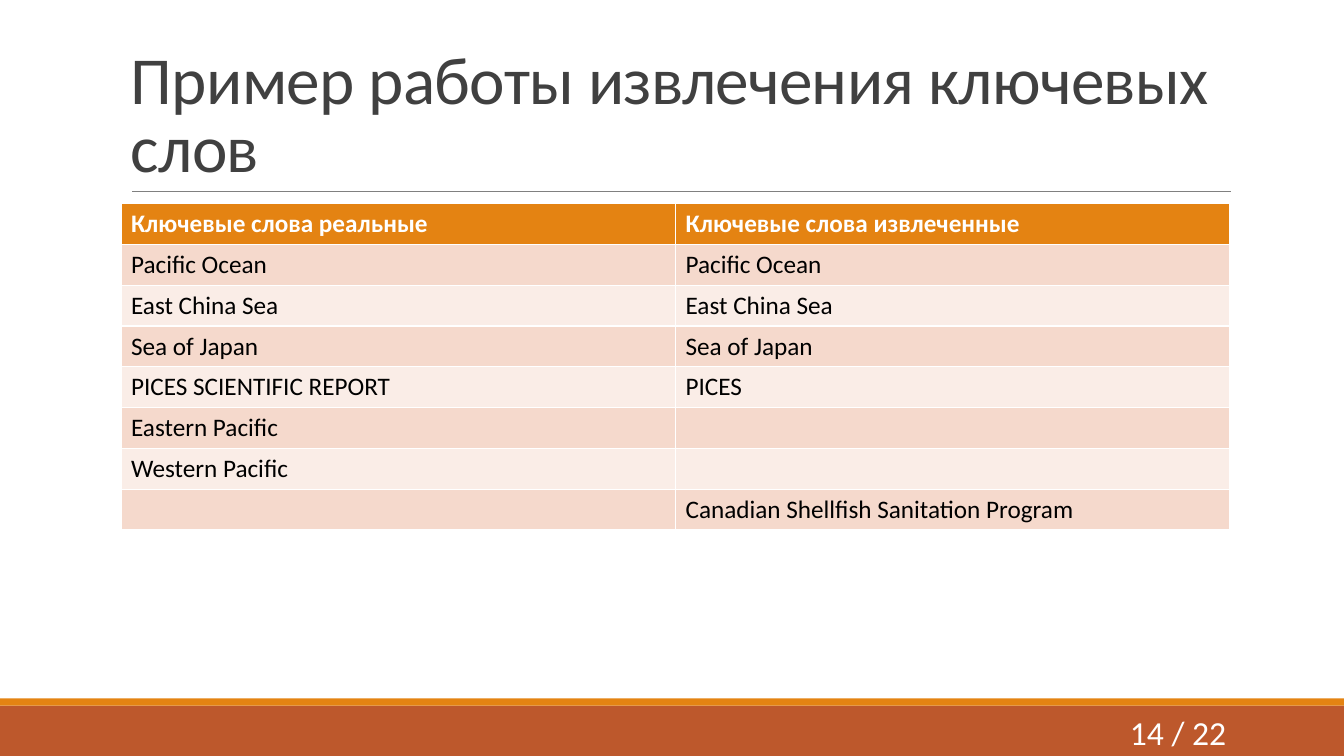
from pptx import Presentation
from pptx.dml.color import RGBColor
from pptx.enum import shapes, text
from pptx.oxml.ns import qn
from pptx.util import Inches, Pt

HEX = {
    "rust": "BD582C", "orange": "E48312", "rule": "808080", "title": "404040",
    "white": "FFFFFF", "black": "000000", "dark": "F5D9CC", "light": "FAEDE7",
}


def color(name):
    return RGBColor.from_string(HEX[name])


def label(box, words, size, name, anchor):
    area = slide.shapes.add_textbox(*[Inches(n) for n in box])
    frame = area.text_frame
    frame.word_wrap = True
    frame.vertical_anchor = anchor
    para = frame.paragraphs[0]
    para.text = words
    para.font.name = "Calibri"
    para.font.size = Pt(size)
    para.font.color.rgb = color(name)
    return para


deck = Presentation()
deck.slide_width = Inches(13.33)
deck.slide_height = Inches(7.5)
slide = deck.slides.add_slide(deck.slide_layouts[6])

# Footer bands
for top, high, name in [(7, 0.5, "rust"), (6.93, 0.07, "orange")]:
    band = slide.shapes.add_shape(shapes.MSO_SHAPE.RECTANGLE, 0, Inches(top),
                                  deck.slide_width, Inches(high))
    band.shadow.inherit = False
    band.fill.solid()
    band.fill.fore_color.rgb = color(name)
    band.line.fill.background()

# Title and the rule below it
rule = slide.shapes.add_connector(shapes.MSO_CONNECTOR.STRAIGHT, Inches(1.31),
                                  Inches(1.9), Inches(12.21), Inches(1.9))
rule.line.color.rgb = color("rule")
rule.line.width = Pt(0.5)
props = rule._element.spPr
props.append(props.makeelement(qn("a:effectLst"), {}))

title = label((1.2, 0.31, 11, 1.59), "Пример работы извлечения ключевых слов",
              48, "title", text.MSO_ANCHOR.BOTTOM)
title.line_spacing = 0.85
title.runs[0].font._element.set("spc", "-50")

# Keyword table: the default style draws the white borders
rows = [
    ("Ключевые слова реальные", "Ключевые слова извлеченные"),
    ("Pacific Ocean", "Pacific Ocean"),
    ("East China Sea", "East China Sea"),
    ("Sea of Japan", "Sea of Japan"),
    ("PICES SCIENTIFIC REPORT", "PICES"),
    ("Eastern Pacific", ""),
    ("Western Pacific", ""),
    ("", "Canadian Shellfish Sanitation Program"),
]
high = Inches(3.24 / len(rows))
table = slide.shapes.add_table(len(rows), 2, Inches(1.2), Inches(2.02),
                               Inches(11), high * len(rows)).table
for r, row in enumerate(rows):
    head = r == 0
    fill = "orange" if head else "dark" if r % 2 else "light"
    for c, words in enumerate(row):
        cell = table.cell(r, c)
        cell.fill.solid()
        cell.fill.fore_color.rgb = color(fill)
        cell.text = words
        font = cell.text_frame.paragraphs[0].font
        font.name = "Calibri"
        font.size = Pt(18)
        font.bold = head
        font.color.rgb = color("white" if head else "black")

# Page number
page = label((10.83, 7.06, 1.43, 0.4), "14 / 22", 24, "white",
             text.MSO_ANCHOR.MIDDLE)
page.alignment = text.PP_ALIGN.RIGHT

deck.save("out.pptx")
